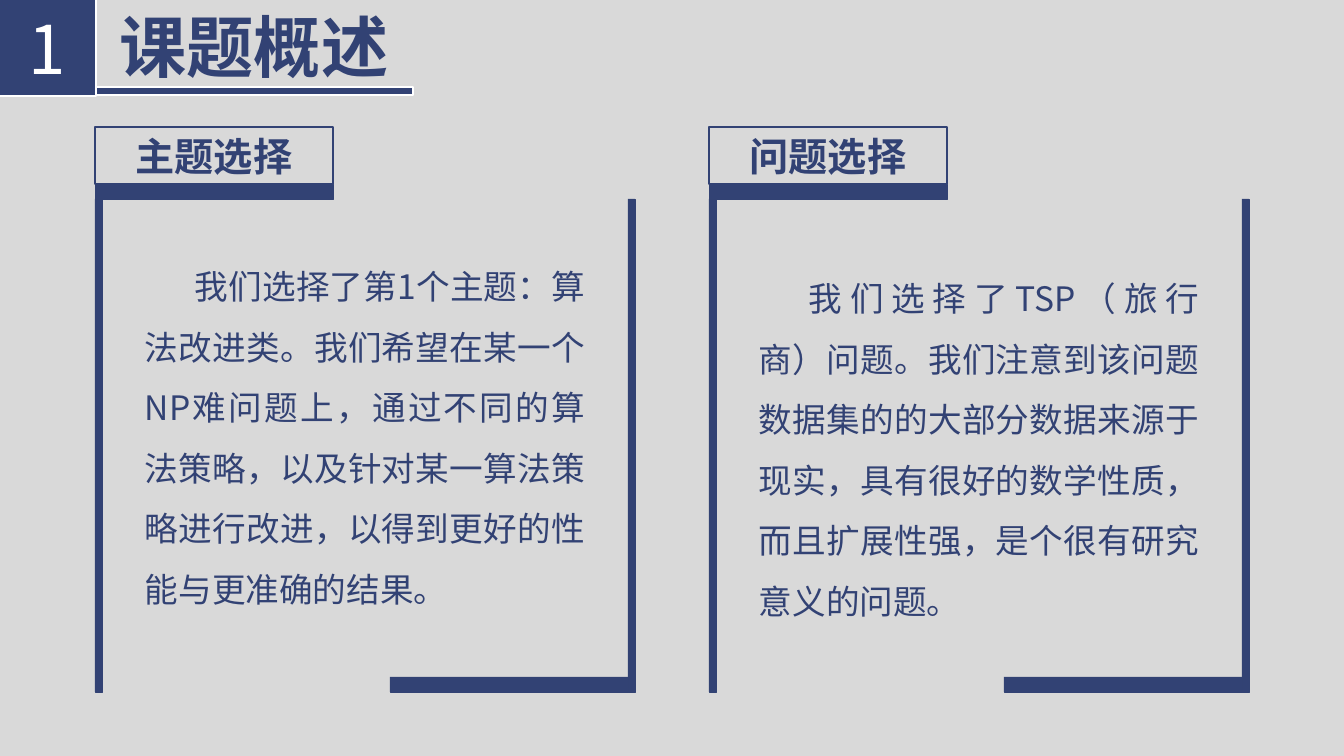
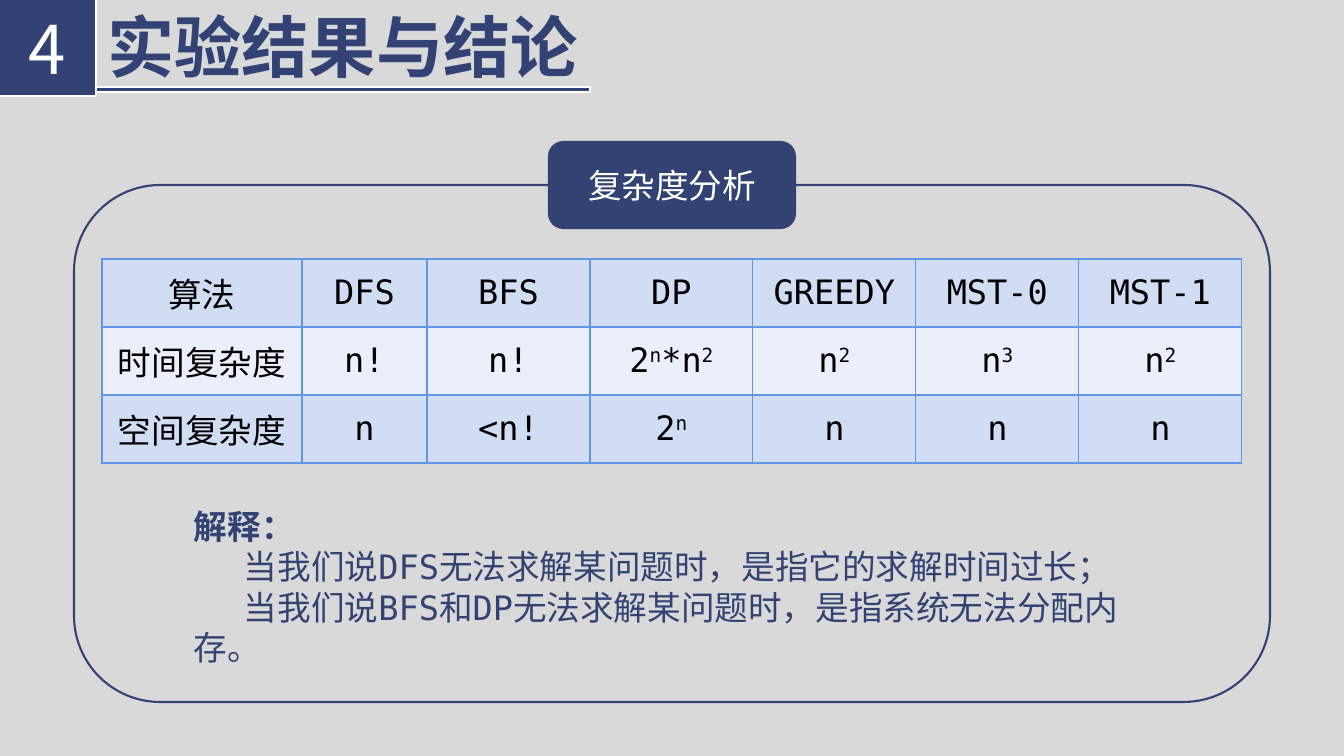
from lxml import etree
from pptx import Presentation
from pptx.dml.color import RGBColor
from pptx.enum.shapes import MSO_SHAPE
from pptx.enum.text import MSO_ANCHOR, PP_ALIGN
from pptx.oxml.ns import qn
from pptx.util import Emu, Pt

RECTANGLE, ROUNDED = MSO_SHAPE.RECTANGLE, MSO_SHAPE.ROUNDED_RECTANGLE
TOP, MIDDLE = MSO_ANCHOR.TOP, MSO_ANCHOR.MIDDLE
LEFT, CENTER, JUSTIFY = PP_ALIGN.LEFT, PP_ALIGN.CENTER, PP_ALIGN.JUSTIFY
SLIDE_WIDTH, SLIDE_HEIGHT = 1344, 756
EMU_PER_PX = 12192000 / SLIDE_WIDTH

NAVY, EDGE, WHITE, BLACK, GRAY = "324274", "324273", "FFFFFF", "000000", "D9D9D9"
TABLE_LINE, ROW_DARK, ROW_LIGHT = "6096E6", "D2DDF5", "EAEFFA"
SANS, MONO = "Noto Sans CJK SC", "DejaVu Sans Mono"

TITLE = {"size": 48, "name": SANS, "color": NAVY, "bold": True}
NUMBER = {"size": 48, "name": SANS, "color": WHITE, "bold": False}
LABEL = {"size": 28, "name": SANS, "color": NAVY, "bold": True}
BODY = {"size": 24, "name": SANS, "color": NAVY, "bold": False}
BADGE = {"size": 24, "name": MONO, "color": WHITE, "bold": False}
CELL = {**BADGE, "color": BLACK}
NOTE = {**BADGE, "color": EDGE}
NOTE_HEAD = {**NOTE, "bold": True}

CARDS = [
    ("主题选择", 114, "我们选择了第1个主题：算法改进类。我们希望在某一个NP难问题上，通过不同的算法策略，"
     "以及针对某一算法策略进行改进，以得到更好的性能与更准确的结果。"),
    ("问题选择", 126, "我们选择了TSP（旅行商）问题。我们注意到该问题数据集的的大部分数据来源于现实，"
     "具有很好的数学性质，而且扩展性强，是个很有研究意义的问题。"),
]
COMPLEXITY = [
    ["算法", "DFS", "BFS", "DP", "GREEDY", "MST-0", "MST-1"],
    ["时间复杂度", "n!", "n!", "2^n*n^2", "n^2", "n^3", "n^2"],
    ["空间复杂度", "n", "<n!", "2^n", "n", "n", "n"],
]
COLUMN_WIDTHS = [200, 125] + [163] * 5
ROW_HEIGHT = 68
NOTES = ["当我们说DFS无法求解某问题时，是指它的求解时间过长；",
         "当我们说BFS和DP无法求解某问题时，是指系统无法分配内存。"]


def px(length):
    """Turn a length in px into EMU."""
    return Emu(round(length * EMU_PER_PX))


def rgb(value):
    """Turn a hex string into a colour."""
    return RGBColor.from_string(value)


def add_run(paragraph, text, style, superscript=False):
    """Add one styled run."""
    if not text:
        return
    run = paragraph.add_run()
    run.text = text
    values = {"size": Pt(style["size"]), "bold": style["bold"], "name": style["name"]}
    for attribute, value in values.items():
        setattr(run.font, attribute, value)
    run.font.color.rgb = rgb(style["color"])
    properties = run._r.get_or_add_rPr()
    properties.set("lang", "zh-CN")
    if superscript:
        properties.set("baseline", "30000")
    etree.SubElement(properties, qn("a:ea")).set("typeface", SANS)


def write(paragraph, text, style, align=CENTER, indent=0, spacing=None):
    """Fill a paragraph; the letter after each ^ is raised."""
    for attribute, value in {"alignment": align, "line_spacing": spacing}.items():
        setattr(paragraph, attribute, value)
    if indent:
        properties = paragraph._p.get_or_add_pPr()
        properties.set("marL", "0")
        properties.set("indent", str(px(indent)))
    first, *raised = text.split("^")
    add_run(paragraph, first, style)
    for part in raised:
        add_run(paragraph, part[0], style, superscript=True)
        add_run(paragraph, part[1:], style)


def add_block(slide, box, fill=None, line=EDGE, width=0.5, kind=RECTANGLE):
    """Draw a preset shape in the given box."""
    shape = slide.shapes.add_shape(kind, *map(px, box))
    shape.shadow.inherit = False
    if fill:
        shape.fill.solid()
        shape.fill.fore_color.rgb = rgb(fill)
    else:
        shape.fill.background()
    shape.line.color.rgb = rgb(line)
    shape.line.width = Pt(width)
    shape.text_frame.vertical_anchor = MIDDLE
    return shape


def add_text(slide, box, anchor=TOP):
    """Add a wrapping text box and return its frame."""
    frame = slide.shapes.add_textbox(*map(px, box)).text_frame
    for attribute, value in {"word_wrap": True, "vertical_anchor": anchor}.items():
        setattr(frame, attribute, value)
    return frame


def add_header(slide, number, title, width, rule_height):
    """Draw the numbered square, the title and its underline."""
    add_block(slide, (-1, 87, width, rule_height), NAVY, WHITE, 1)
    square = add_block(slide, (-1, -1, 97, 97), NAVY, WHITE, 1)
    write(square.text_frame.paragraphs[0], number, NUMBER)
    write(add_text(slide, (95, 0, width - 96, 92)).paragraphs[0], title, TITLE)


def add_card(slide, box, label, body_offset, body):
    """Draw an open frame with a label tab and a paragraph."""
    left, top, width, height = box
    bar, band, tab_width, tab_height = 7, 15, 238, 57
    side_top = top + tab_height + band
    right_bar = left + width - bar
    bottom = top + height
    for bar_left in (left, right_bar):
        add_block(slide, (bar_left, side_top, bar, bottom - side_top), NAVY)
    add_block(slide, (left, top + tab_height, tab_width, band), NAVY)
    add_block(slide, (right_bar - tab_width, bottom - band, tab_width, band), NAVY)
    tab = add_block(slide, (left, top, tab_width, tab_height), line=NAVY, width=1.5)
    write(tab.text_frame.paragraphs[0], label, LABEL)
    frame = add_text(slide, (left + 40, top + body_offset, width - 80, 369))
    write(frame.paragraphs[0], body, BODY, JUSTIFY, 50, 1.5)


def add_panel(slide, box, label):
    """Draw a rounded panel with a badge centred on its top edge."""
    left, top, width, height = box
    add_block(slide, box, GRAY, width=1.5, kind=ROUNDED)
    badge = (left + (width - 246) // 2, top - 43, 246, 86)
    add_block(slide, badge, EDGE, width=1.5, kind=ROUNDED)
    write(add_text(slide, badge, MIDDLE).paragraphs[0], label, BADGE)


def set_borders(cell):
    """Give a table cell a thin line on all sides."""
    properties = cell._tc.get_or_add_tcPr()
    for side in ("lnL", "lnR", "lnT", "lnB"):
        line = etree.SubElement(properties, qn(f"a:{side}"), w=str(Pt(1)))
        fill = etree.SubElement(line, qn("a:solidFill"))
        etree.SubElement(fill, qn("a:srgbClr"), val=TABLE_LINE)


def add_complexity_table(slide, left, top):
    """Draw the table of time and space complexity."""
    size = (sum(COLUMN_WIDTHS), ROW_HEIGHT * len(COMPLEXITY))
    table = slide.shapes.add_table(len(COMPLEXITY), len(COLUMN_WIDTHS),
                                   *map(px, (left, top, *size))).table
    for column, width in zip(table.columns, COLUMN_WIDTHS):
        column.width = px(width)
    cell_format = {"vertical_anchor": MIDDLE, "margin_left": px(13), "margin_right": px(13),
                   "margin_top": px(6), "margin_bottom": px(6)}
    for row_index, texts in enumerate(COMPLEXITY):
        table.rows[row_index].height = px(ROW_HEIGHT)
        for column_index, text in enumerate(texts):
            cell = table.cell(row_index, column_index)
            for attribute, value in cell_format.items():
                setattr(cell, attribute, value)
            set_borders(cell)
            cell.fill.solid()
            cell.fill.fore_color.rgb = rgb(ROW_LIGHT if row_index % 2 else ROW_DARK)
            write(cell.text_frame.paragraphs[0], text, CELL)


def add_notes_block(slide, box):
    """Write the explanation below the table."""
    frame = add_text(slide, box)
    write(frame.paragraphs[0], "解释：", NOTE_HEAD, LEFT)
    for text in NOTES:
        write(frame.add_paragraph(), text, NOTE, LEFT, 50)


def new_slide(presentation):
    """Add a blank slide with the shared background."""
    slide = presentation.slides.add_slide(presentation.slide_layouts[6])
    slide.background.fill.solid()
    slide.background.fill.fore_color.rgb = rgb(GRAY)
    return slide


def build_overview(presentation):
    """Build the slide on topic and problem."""
    slide = new_slide(presentation)
    add_header(slide, "1", "课题概述", 414, 8)
    for index, card in enumerate(CARDS):
        add_card(slide, (95 + 614 * index, 127, 540, 565), *card)


def build_results(presentation):
    """Build the slide on complexity results."""
    slide = new_slide(presentation)
    add_header(slide, "4", "实验结果与结论", 591, 5)
    add_panel(slide, (74, 185, 1196, 517), "复杂度分析")
    add_notes_block(slide, (184, 501, 977, 132))
    add_complexity_table(slide, 102, 259)


def main():
    """Build and save the presentation."""
    presentation = Presentation()
    presentation.slide_width = px(SLIDE_WIDTH)
    presentation.slide_height = px(SLIDE_HEIGHT)
    build_overview(presentation)
    build_results(presentation)
    presentation.save("out.pptx")


if __name__ == "__main__":
    main()
